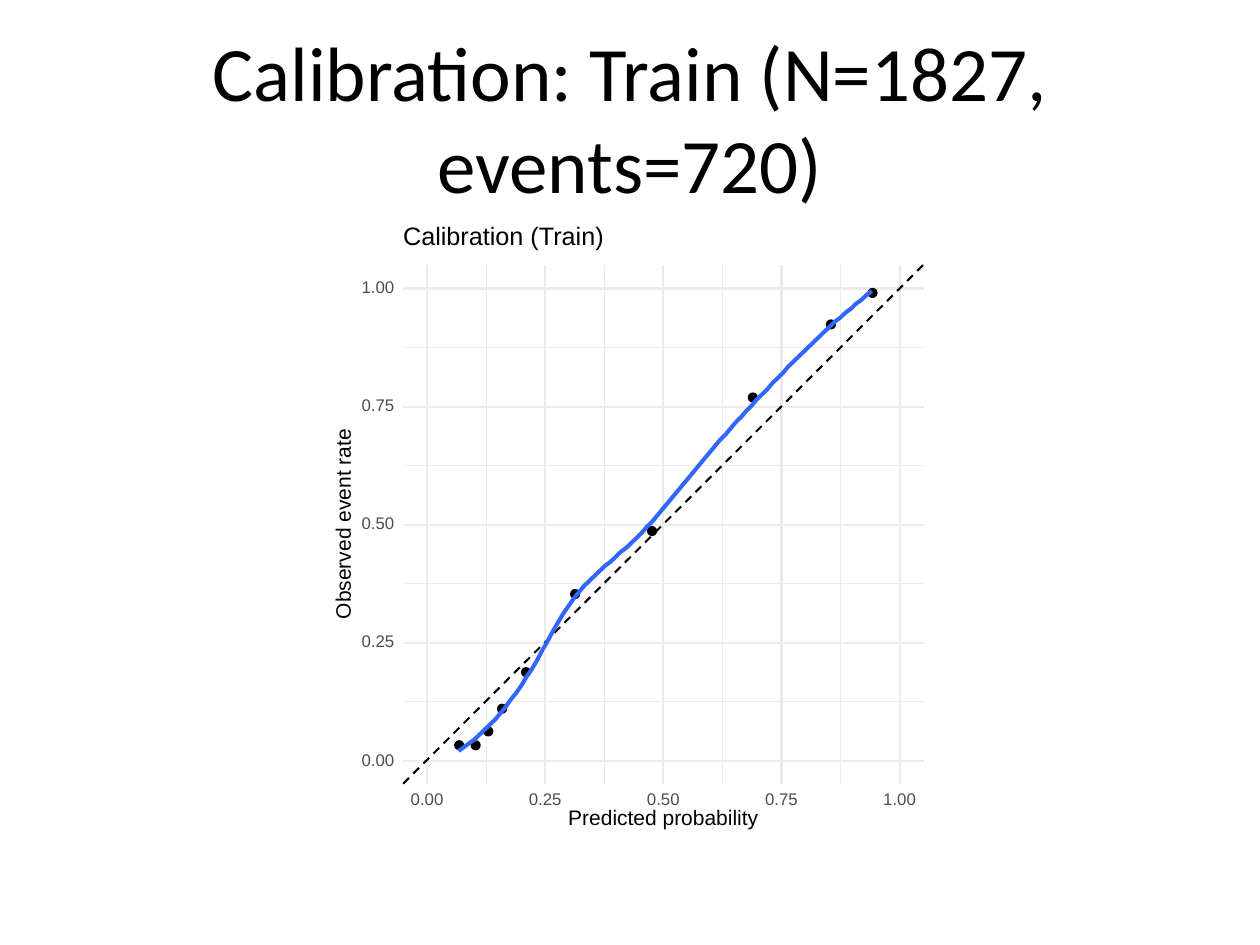
from lxml import etree
from pptx import Presentation
from pptx import util as u
from pptx.dml.color import RGBColor
from pptx.enum import dml, shapes, text
from pptx.oxml.ns import qn

LEFT, RIGHT, TOP, BOTTOM = 3.2, 7.33, 2.1, 6.22
ORIGIN_X, ORIGIN_Y, UNIT = 3.39, 6.04, 3.75
DOT_SIZE = 0.07
CURVE_START, CURVE_END = 3.64, 6.92

DOTS = [
    (3.61, 5.88), (3.74, 5.88), (3.84, 5.77), (3.95, 5.59), (4.14, 5.3),
    (4.53, 4.68), (5.14, 4.18), (5.94, 3.12), (6.56, 2.54), (6.89, 2.29),
]
CURVE_HEIGHTS = [
    5.96, 5.93, 5.9, 5.87, 5.83, 5.79, 5.75, 5.71, 5.66, 5.61,
    5.55, 5.5, 5.44, 5.37, 5.31, 5.24, 5.16, 5.09, 5.01, 4.94,
    4.87, 4.81, 4.75, 4.7, 4.65, 4.61, 4.57, 4.53, 4.49, 4.46,
    4.42, 4.38, 4.35, 4.31, 4.27, 4.23, 4.18, 4.14, 4.09, 4.04,
    3.99, 3.94, 3.89, 3.84, 3.79, 3.74, 3.69, 3.64, 3.59, 3.54,
    3.49, 3.45, 3.4, 3.35, 3.31, 3.26, 3.22, 3.17, 3.13, 3.09,
    3.04, 3, 2.96, 2.91, 2.87, 2.83, 2.79, 2.75, 2.71, 2.67,
    2.63, 2.59, 2.55, 2.52, 2.48, 2.45, 2.41, 2.38, 2.34, 2.31,
]


def color(value):
    return RGBColor.from_string(value)


class PlotSlide:
    ink = "000000"
    grid = "EBEBEB"
    tick = "4D4D4D"
    curve_color = "3366FF"
    title_font = "Calibri"
    plot_font = "Arial"

    def __init__(self, presentation):
        self.slide = presentation.slides.add_slide(presentation.slide_layouts[6])

    def textbox(self, content, left, top, width, height, size, font, fill):
        shape = self.slide.shapes.add_textbox(
            u.Inches(left), u.Inches(top), u.Inches(width), u.Inches(height))
        frame = shape.text_frame
        frame.text = content
        frame.vertical_anchor = text.MSO_ANCHOR.MIDDLE
        run = frame.paragraphs[0].runs[0]
        run.font.name = font
        run.font.size = u.Pt(size)
        run.font.color.rgb = color(fill)
        return shape

    def title(self, content):
        shape = self.textbox(content, 0.5, 0.3, 9, 1.25, 44, self.title_font, self.ink)
        shape.text_frame.word_wrap = True
        shape.text_frame.paragraphs[0].alignment = text.PP_ALIGN.CENTER

    def label(self, content, left, top, width, height, size, fill=ink, rotation=0):
        shape = self.textbox(content, left, top, width, height, size, self.plot_font, fill)
        shape.rotation = rotation
        frame = shape.text_frame
        frame.word_wrap = False
        frame.margin_left = frame.margin_right = 0
        frame.margin_top = frame.margin_bottom = 0
        frame.paragraphs[0].line_spacing = u.Pt(size)

    def line(self, x1, y1, x2, y2, width, fill, dash=None):
        connector = self.slide.shapes.add_connector(
            shapes.MSO_CONNECTOR.STRAIGHT,
            u.Inches(x1), u.Inches(y1), u.Inches(x2), u.Inches(y2))
        connector.line.color.rgb = color(fill)
        connector.line.width = u.Pt(width)
        if dash:
            connector.line.dash_style = dash
        etree.SubElement(connector._element.spPr, qn("a:effectLst"))

    def gridlines(self, values, width):
        for value in values:
            y = ORIGIN_Y - UNIT * value
            self.line(LEFT, y, RIGHT, y, width, self.grid)
        for value in values:
            x = ORIGIN_X + UNIT * value
            self.line(x, BOTTOM, x, TOP, width, self.grid)

    def dot(self, left, top):
        shape = self.slide.shapes.add_shape(
            shapes.MSO_SHAPE.OVAL, u.Inches(left), u.Inches(top),
            u.Inches(DOT_SIZE), u.Inches(DOT_SIZE))
        shape.shadow.inherit = False
        shape.fill.solid()
        shape.fill.fore_color.rgb = color(self.ink)
        shape.line.color.rgb = color(self.ink)
        shape.line.width = u.Pt(0.77)

    def curve(self, heights):
        step = (CURVE_END - CURVE_START) / (len(heights) - 1)
        points = [(u.Inches(CURVE_START + step * index), u.Inches(height))
                  for index, height in enumerate(heights)]
        builder = self.slide.shapes.build_freeform(*points[0])
        builder.add_line_segments(points[1:], close=False)
        shape = builder.convert_to_shape()
        shape.shadow.inherit = False
        shape.fill.background()
        shape.line.color.rgb = color(self.curve_color)
        shape.line.width = u.Pt(2.33)

    def tick_labels(self, values):
        for value in values:
            self.label(f"{value:.2f}", 2.87, ORIGIN_Y - UNIT * value - 0.05,
                       0.26, 0.1, 9.6, self.tick)
        for value in values:
            self.label(f"{value:.2f}", ORIGIN_X + UNIT * value - 0.13, 6.3,
                       0.26, 0.1, 9.6, self.tick)


def main():
    presentation = Presentation()
    presentation.slide_width = u.Inches(10)
    presentation.slide_height = u.Inches(7.5)
    plot = PlotSlide(presentation)
    major = [index / 4 for index in range(5)]
    minor = [value + 1 / 8 for value in major[:-1]]

    plot.title("Calibration: Train (N=1827, events=720)")
    plot.gridlines(minor, 0.58)
    plot.gridlines(major, 1.16)
    plot.line(LEFT, BOTTOM, RIGHT, TOP, 1.16, plot.ink, dml.MSO_LINE.DASH)
    for left, top in DOTS:
        plot.dot(left, top)
    plot.curve(CURVE_HEIGHTS)
    plot.tick_labels(major)
    plot.label("Predicted probability", 4.51, 6.43, 1.51, 0.15, 12)
    plot.label("Observed event rate", 1.98, 4.1, 1.51, 0.12, 12, rotation=270)
    plot.label("Calibration (Train)", LEFT, 1.79, 1.6, 0.19, 14.4)
    presentation.save("out.pptx")


if __name__ == "__main__":
    main()
